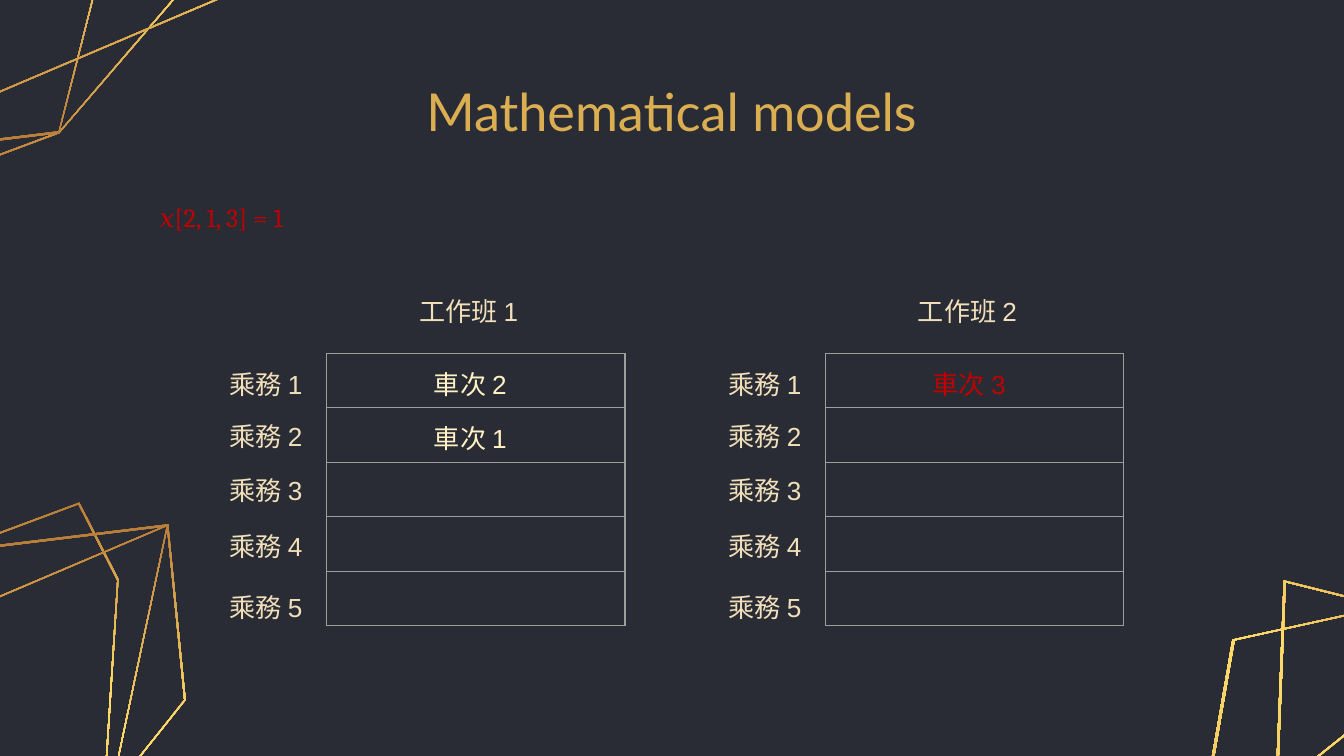
from copy import deepcopy

from lxml.etree import SubElement
from pptx import Presentation
from pptx.dml.color import RGBColor
from pptx.enum.text import MSO_ANCHOR, PP_ALIGN
from pptx.oxml.ns import qn
from pptx.util import Cm, Pt

NIGHT = RGBColor(0x29, 0x2C, 0x35)
GOLD = RGBColor(0xDC, 0xAE, 0x52)
BRONZE = RGBColor(0xAF, 0x71, 0x32)
BRIGHT = RGBColor(0xFF, 0xDD, 0x6B)
SAND = RGBColor(0xF1, 0xDF, 0xBA)
CREAM = RGBColor(0xFF, 0xF1, 0xC4)
RED = RGBColor(0xC0, 0x00, 0x00)
GREY = RGBColor(0x9E, 0x9E, 0x9E)

LOOPS = ("abcdef", "gachf", "gihj")
LEFT_WIRE = dict(a=(-2.65, 17.15), b=(-4.17, 14.17), c=(-0.94, 10.41),
                 d=(1.5, 9.5), e=(2.24, 10.95), f=(1.93, 15.82),
                 g=(-0.46, 18.21), h=(3.18, 9.91), i=(-4.09, 13),
                 j=(3.51, 13.23))
TOP_WIRE = {k: (0.18 - x, 12.93 - y) for k, (x, y) in LEFT_WIRE.items()}
RIGHT_WIRE = dict(a=(22.58, 16.15), b=(23.29, 12.09), c=(29.29, 10.77),
                  d=(32.39, 11.68), e=(32, 13.67), f=(28.09, 18.24),
                  g=(23.95, 18.85), h=(33.73, 13.34), i=(24.26, 10.97),
                  j=(31.6, 16.87))
LABEL_TOPS = (0.15, 1.14, 2.16, 3.23, 4.37)
ROW = 1.03


def add_text(s, text, x, y, w, h, size=14, font="Arial", color=SAND,
             align=PP_ALIGN.LEFT, anchor=MSO_ANCHOR.TOP):
    """Place one line of formatted text in a box given in centimetres."""
    tf = s.shapes.add_textbox(Cm(x), Cm(y), Cm(w), Cm(h)).text_frame
    tf.word_wrap = True
    tf.vertical_anchor = anchor
    p = tf.paragraphs[0]
    p.alignment = align
    r = p.add_run()
    r.text = text
    r.font.size = Pt(size)
    r.font.name = font
    r.font.color.rgb = color


def fill_gold(sp, angle):
    """Fill a shape with the three-stop gold gradient, angle clockwise."""
    sp.fill.gradient()
    sp.fill.gradient_angle = 360 - angle
    gs_list = next(sp._element.spPr.iter(qn("a:gsLst")))
    gs_list.insert(1, deepcopy(gs_list[0]))
    stops = zip(sp.fill.gradient_stops, (0, 0.5, 1), (BRONZE, BRIGHT, GOLD))
    for stop, position, color in stops:
        stop.position = position
        stop.color.rgb = color


def add_wireframe(s, points, angle):
    """Draw the three overlapping thin polygon rings of one corner."""
    for loop in LOOPS:
        outer = [points[k] for k in loop]
        cx, cy = (sum(v) / len(outer) for v in zip(*outer))
        inner = [(x + (cx - x) * 0.01, y + (cy - y) * 0.01) for x, y in outer]
        outer, inner = ([(Cm(x), Cm(y)) for x, y in ring]
                        for ring in (outer, inner[::-1]))
        builder = s.shapes.build_freeform(*outer[0])
        builder.add_line_segments(outer[1:], close=True)
        builder.move_to(*inner[0])
        builder.add_line_segments(inner[1:], close=True)
        sp = builder.convert_to_shape()
        sp.shadow.inherit = False
        sp.line.fill.background()
        fill_gold(sp, angle)


def style_cell(cell):
    """Give a cell thin grey borders and no fill."""
    tc_pr = cell._tc.get_or_add_tcPr()
    for side in ("a:lnL", "a:lnR", "a:lnT", "a:lnB"):
        ln = SubElement(tc_pr, qn(side), w=str(Pt(0.75)))
        fill = SubElement(ln, qn("a:solidFill"))
        SubElement(fill, qn("a:srgbClr"), val=str(GREY))
    cell.fill.background()


def add_shift(s, number, trips, x, y, w, color=CREAM):
    """Draw a shift: heading, duty labels, table and its assigned trips."""
    rows = len(LABEL_TOPS)
    table = s.shapes.add_table(rows, 1, Cm(x), Cm(y), Cm(w),
                               Cm(ROW * rows)).table
    table.first_row = table.horz_banding = False
    for row in table.rows:
        row.height = Cm(ROW)
        style_cell(row.cells[0])
    add_text(s, f"工作班 {number}", x + 1.5, y - 1.22, 2.62, 0.86)
    for duty, top in enumerate(LABEL_TOPS, 1):
        add_text(s, f"乘務 {duty}", x - 2.08, y + top, 2.08, 0.86)
    for i, trip in enumerate(trips):
        add_text(s, f"車次 {trip}", x + 1.78, y + 0.15 + i * ROW, 2.08, 0.86,
                 color=color)


def main():
    """Build the slide and save it."""
    prs = Presentation()
    prs.slide_width, prs.slide_height = Cm(25.4), Cm(14.29)
    s = prs.slides.add_slide(prs.slide_layouts[6])
    s.background.fill.solid()
    s.background.fill.fore_color.rgb = NIGHT
    add_wireframe(s, LEFT_WIRE, 84.4)
    add_wireframe(s, TOP_WIRE, 264.4)
    add_wireframe(s, RIGHT_WIRE, 121.4)
    add_text(s, "Mathematical models", 5.54, 1.5, 14.3, 1.2, size=28,
             font="Lato", color=GOLD, align=PP_ALIGN.CENTER,
             anchor=MSO_ANCHOR.MIDDLE)
    add_shift(s, 1, (2, 1), 6.17, 6.68, 5.64)
    add_shift(s, 2, (3,), 15.6, 6.68, 5.64, color=RED)
    add_text(s, "𝑥[2, 1, 3] = 1", 2.77, 3.68, 18.97, 1.45, font="Cambria",
             color=RED)
    prs.save("out.pptx")


if __name__ == "__main__":
    main()
